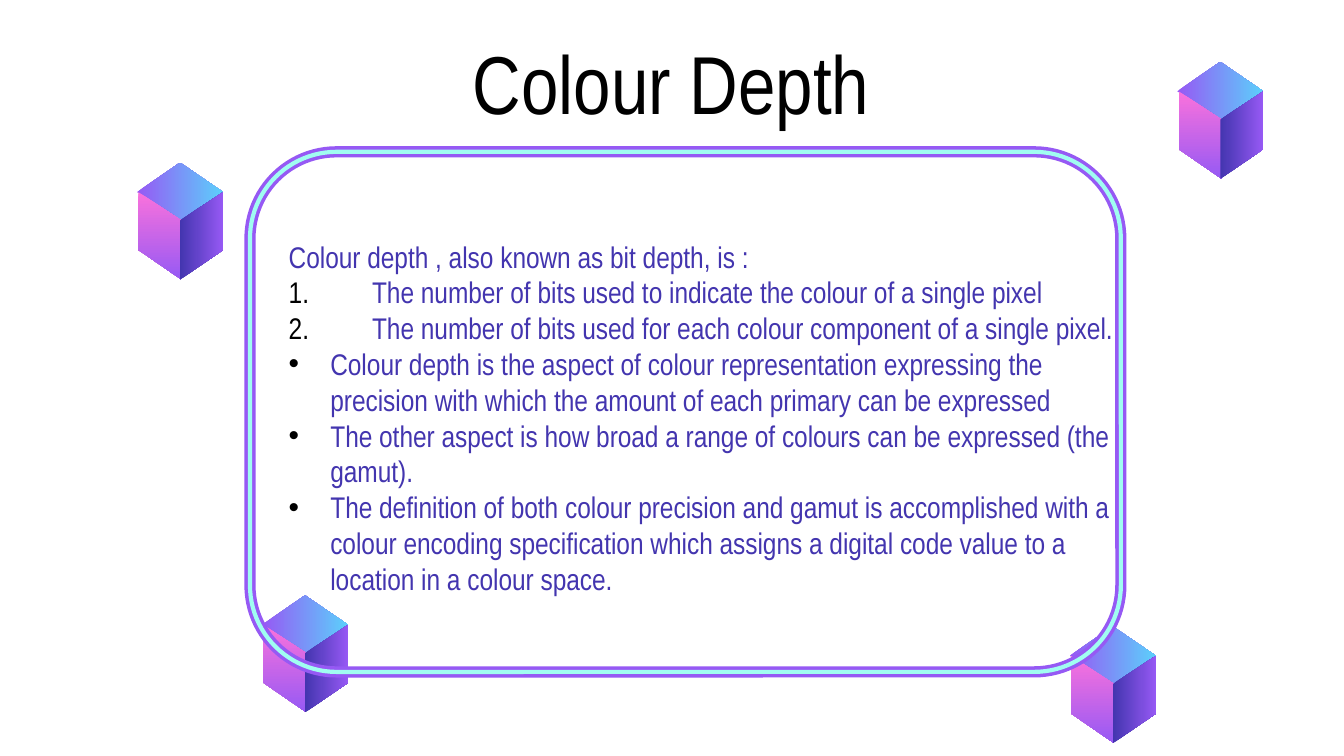
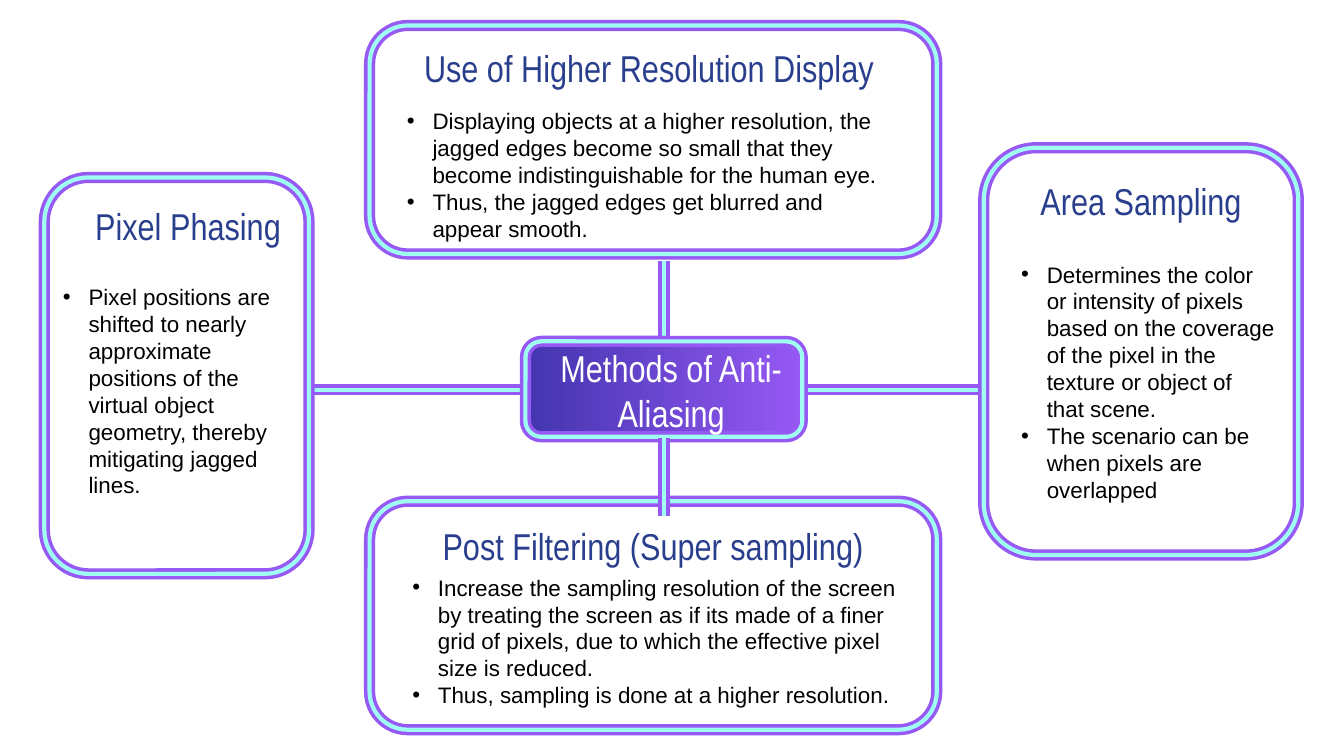
"""Builds two slides on colour depth and the methods of anti-aliasing."""
from dataclasses import dataclass

from lxml import etree
from pptx import Presentation
from pptx.dml.color import RGBColor
from pptx.enum.shapes import MSO_CONNECTOR, MSO_SHAPE
from pptx.enum.text import MSO_ANCHOR, MSO_AUTO_SIZE, PP_ALIGN
from pptx.oxml.ns import qn
from pptx.util import Inches, Pt

ROUNDED = MSO_SHAPE.ROUNDED_RECTANGLE
STRAIGHT, ELBOW = MSO_CONNECTOR.STRAIGHT, MSO_CONNECTOR.ELBOW
MIDDLE, TOP = MSO_ANCHOR.MIDDLE, MSO_ANCHOR.TOP
LEFT, CENTER = PP_ALIGN.LEFT, PP_ALIGN.CENTER
GROW, FIXED = MSO_AUTO_SIZE.SHAPE_TO_FIT_TEXT, MSO_AUTO_SIZE.NONE
TITLE_ONLY, BLANK = 5, 6


@dataclass(frozen=True)
class Theme:
    """Colours, fonts and type sizes shared by the slides."""
    black: str = "000000"
    white: str = "FFFFFF"
    purple: str = "9659F4"
    aqua: str = "A0FDF1"
    indigo: str = "4335AF"
    navy: str = "293E8D"
    pink: str = "FA72DC"
    sky: str = "5CCFFB"
    display: str = "Arial Narrow"
    body: str = "Arial"
    title_size: int = 44
    heading_size: int = 20
    definition_size: int = 16
    body_size: int = 12


THEME = Theme()
STROKES = ((THEME.purple, 6), (THEME.aqua, 2.25))
TITLE = dict(name=THEME.display, size=THEME.title_size, color=THEME.black)
DEFINITION = dict(name=THEME.display, size=THEME.definition_size, color=THEME.indigo)
HEADING = dict(name=THEME.display, size=THEME.heading_size, color=THEME.navy)
HUB = dict(HEADING, color=THEME.white)
BODY = dict(name=THEME.body, size=THEME.body_size, color=THEME.black)

PLAIN, NUMBER, BULLET = "plain", "number", "bullet"
HANGING = {NUMBER: 0.62, BULLET: 0.31}
SMALL_HANGING = {BULLET: 0.19}

DEPTH_TITLE = "Colour Depth"
DEPTH_FRAME = (1.86, 1.13, 6.48, 3.87)
DEPTH_TEXT = [
    (PLAIN, "Colour depth , also known as bit depth, is :"),
    (NUMBER, "The number of bits used to indicate the colour of a single pixel"),
    (NUMBER, "The number of bits used for each colour component of a single pixel."),
    (BULLET, "Colour depth is the aspect of colour representation expressing the "
             "precision with which the amount of each primary can be expressed"),
    (BULLET, "The other aspect is how broad a range of colours can be expressed "
             "(the gamut)."),
    (BULLET, "The definition of both colour precision and gamut is accomplished with "
             "a colour encoding specification which assigns a digital code value to "
             "a location in a colour space."),
]
CUBE_CORNERS = [(1.95, 4.43), (1.02, 1.21), (7.96, 4.66), (8.76, 0.46)]
CUBE_FACES = [
    ([(0.32, 0.43), (0, 0.22), (0.32, 0), (0.64, 0.22)], (THEME.purple, THEME.sky), 0),
    ([(0.01, 0.22), (0.01, 0.65), (0.33, 0.87), (0.33, 0.43)],
     (THEME.pink, THEME.purple), 270),
    ([(0.64, 0.22), (0.32, 0.43), (0.32, 0.87), (0.64, 0.65)],
     (THEME.indigo, THEME.purple), 0),
]

HUB_TITLE = "Methods of Anti-Aliasing"
HUB_FRAME = (3.91, 2.54, 2.06, 0.71)
LINKS_BEHIND = [
    (ELBOW, (2.28, 2.9, 3.91, 2.9)),
    (ELBOW, (7.28, 2.9, 5.97, 2.9)),
    (STRAIGHT, (4.94, 1.94, 4.94, 2.54)),
]
LINK_IN_FRONT = (STRAIGHT, (4.94, 3.26, 4.94, 3.84))
METHODS = [
    dict(heading="Use of Higher Resolution Display",
         frame=(2.75, 0.19, 4.22, 1.7),
         heading_box=(2.9, 0.29, 3.86, 0.44),
         body_box=(2.93, 0.75, 3.86, 1.11),
         points=["Displaying objects at a higher resolution, the jagged edges become so "
                 "small that they become indistinguishable for the human eye.",
                 "Thus, the jagged edges get blurred and appear smooth."]),
    dict(heading="Post Filtering (Super sampling)",
         frame=(2.75, 3.73, 4.22, 1.7),
         heading_box=(2.93, 3.84, 3.86, 0.44),
         body_box=(2.97, 4.22, 3.86, 1.11),
         points=["Increase the sampling resolution of the screen by treating the screen "
                 "as if its made of a finer grid of pixels, due to which the effective "
                 "pixel size is reduced.",
                 "Thus, sampling is done at a higher resolution."]),
    dict(heading="Pixel Phasing",
         frame=(0.33, 1.32, 1.97, 2.95),
         heading_box=(0.46, 1.46, 1.88, 0.44),
         body_box=(0.37, 2.06, 1.88, 1.72),
         points=["Pixel positions are shifted to nearly approximate positions of the "
                 "virtual object geometry, thereby mitigating jagged lines."]),
    dict(heading="Area Sampling",
         frame=(7.32, 1.1, 2.34, 3.03),
         heading_box=(7.55, 1.28, 1.88, 0.44),
         body_box=(7.5, 1.89, 2.09, 1.92),
         points=["Determines the color or intensity of pixels based on the coverage of "
                 "the pixel in the texture or object of that scene.",
                 "The scenario can be when pixels are overlapped"]),
]


def inches(values):
    """Converts a sequence of numbers to lengths."""
    return [Inches(value) for value in values]


def set_gradient(shape, colors, angle):
    """Fills a shape with a two-colour linear gradient."""
    shape.fill.gradient()
    shape.fill.gradient_angle = angle
    for stop, color in zip(shape.fill.gradient_stops, colors):
        stop.color.rgb = RGBColor.from_string(color)


def set_line(line, color, width):
    """Sets the colour and width of a line."""
    line.color.rgb = RGBColor.from_string(color)
    line.width = Pt(width)


def set_marker(paragraph, kind, indent):
    """Gives a paragraph a black bullet or number with a hanging indent."""
    properties = paragraph._p.get_or_add_pPr()
    properties.set("marL", str(Inches(indent)))
    properties.set("indent", str(-Inches(indent)))
    color = etree.SubElement(properties, qn("a:buClr"))
    etree.SubElement(color, qn("a:srgbClr"), val=THEME.black)
    if kind == NUMBER:
        paragraph.level = 1
        etree.SubElement(properties, qn("a:buAutoNum"), type="arabicPeriod")
    else:
        etree.SubElement(properties, qn("a:buFont"), typeface=THEME.body)
        etree.SubElement(properties, qn("a:buChar"), char="•")


def write_text(shape, items, style, hanging=None, align=LEFT, anchor=TOP,
               auto_size=GROW, inset=0.05):
    """Writes (kind, text) items into a shape."""
    frame = shape.text_frame
    settings = dict(word_wrap=True, auto_size=auto_size, vertical_anchor=anchor,
                    margin_left=Inches(0.1), margin_right=Inches(0.1),
                    margin_top=Inches(inset), margin_bottom=Inches(inset))
    for name, value in settings.items():
        setattr(frame, name, value)
    for index, (kind, text) in enumerate(items):
        paragraph = frame.add_paragraph() if index else frame.paragraphs[0]
        paragraph.alignment = align
        if kind != PLAIN:
            set_marker(paragraph, kind, hanging[kind])
        run = paragraph.add_run()
        run.text = text
        run.font.name = style["name"]
        run.font.size = Pt(style["size"])
        run.font.color.rgb = RGBColor.from_string(style["color"])


def add_text(slide, box, items, style, **options):
    """Adds a text box."""
    write_text(slide.shapes.add_textbox(*inches(box)), items, style, **options)


def add_frame(slide, box, gradient=None):
    """Adds a rounded frame with an aqua line inside a purple one."""
    for color, width in STROKES:
        shape = slide.shapes.add_shape(ROUNDED, *inches(box))
        shape.shadow.inherit = False
        if gradient:
            set_gradient(shape, gradient, 0)
            gradient = None
        else:
            shape.fill.background()
        set_line(shape.line, color, width)


def add_link(slide, kind, ends):
    """Adds a two-tone link line."""
    for color, width in STROKES:
        connector = slide.shapes.add_connector(kind, *inches(ends))
        set_line(connector.line, color, width)
        etree.SubElement(connector._element.spPr, qn("a:effectLst"))


def add_cube(slide, left, top):
    """Adds a cube made of three gradient faces."""
    group = slide.shapes.add_group_shape()
    for offsets, colors, angle in CUBE_FACES:
        points = [tuple(inches((left + x, top + y))) for x, y in offsets]
        builder = group.shapes.build_freeform(*points[0])
        builder.add_line_segments(points[1:], close=True)
        face = builder.convert_to_shape()
        face.shadow.inherit = False
        face.line.fill.background()
        set_gradient(face, colors, angle)


def build_depth_slide(presentation):
    """Builds the colour depth slide."""
    slide = presentation.slides.add_slide(presentation.slide_layouts[TITLE_ONLY])
    title = slide.shapes.title
    title.left, title.top, title.width, title.height = inches((0.56, 0.33, 8.87, 0.56))
    boxed = dict(anchor=MIDDLE, auto_size=FIXED, inset=0.1)
    write_text(title, [(PLAIN, DEPTH_TITLE)], TITLE, align=CENTER, **boxed)
    for corner in CUBE_CORNERS:
        add_cube(slide, *corner)
    add_frame(slide, DEPTH_FRAME)
    add_text(slide, (2.05, 1.25, 6.36, 3.71), DEPTH_TEXT, DEFINITION,
             hanging=HANGING, **boxed)


def build_methods_slide(presentation):
    """Builds the anti-aliasing methods slide."""
    slide = presentation.slides.add_slide(presentation.slide_layouts[BLANK])
    for link in LINKS_BEHIND:
        add_link(slide, *link)
    for method in METHODS:
        add_frame(slide, method["frame"])
    add_frame(slide, HUB_FRAME, (THEME.indigo, THEME.purple))
    add_link(slide, *LINK_IN_FRONT)
    add_text(slide, (4.06, 2.64, 1.87, 0.53), [(PLAIN, HUB_TITLE)], HUB,
             align=CENTER, anchor=MIDDLE, auto_size=FIXED, inset=0.1)
    for method in METHODS:
        add_text(slide, method["heading_box"], [(PLAIN, method["heading"])], HEADING,
                 align=CENTER)
        add_text(slide, method["body_box"], [(BULLET, point) for point in method["points"]],
                 BODY, hanging=SMALL_HANGING)


def main():
    """Builds and saves the presentation."""
    presentation = Presentation()
    presentation.slide_width = Inches(10)
    presentation.slide_height = Inches(10) * 9 // 16
    build_depth_slide(presentation)
    build_methods_slide(presentation)
    presentation.save("out.pptx")


if __name__ == "__main__":
    main()
